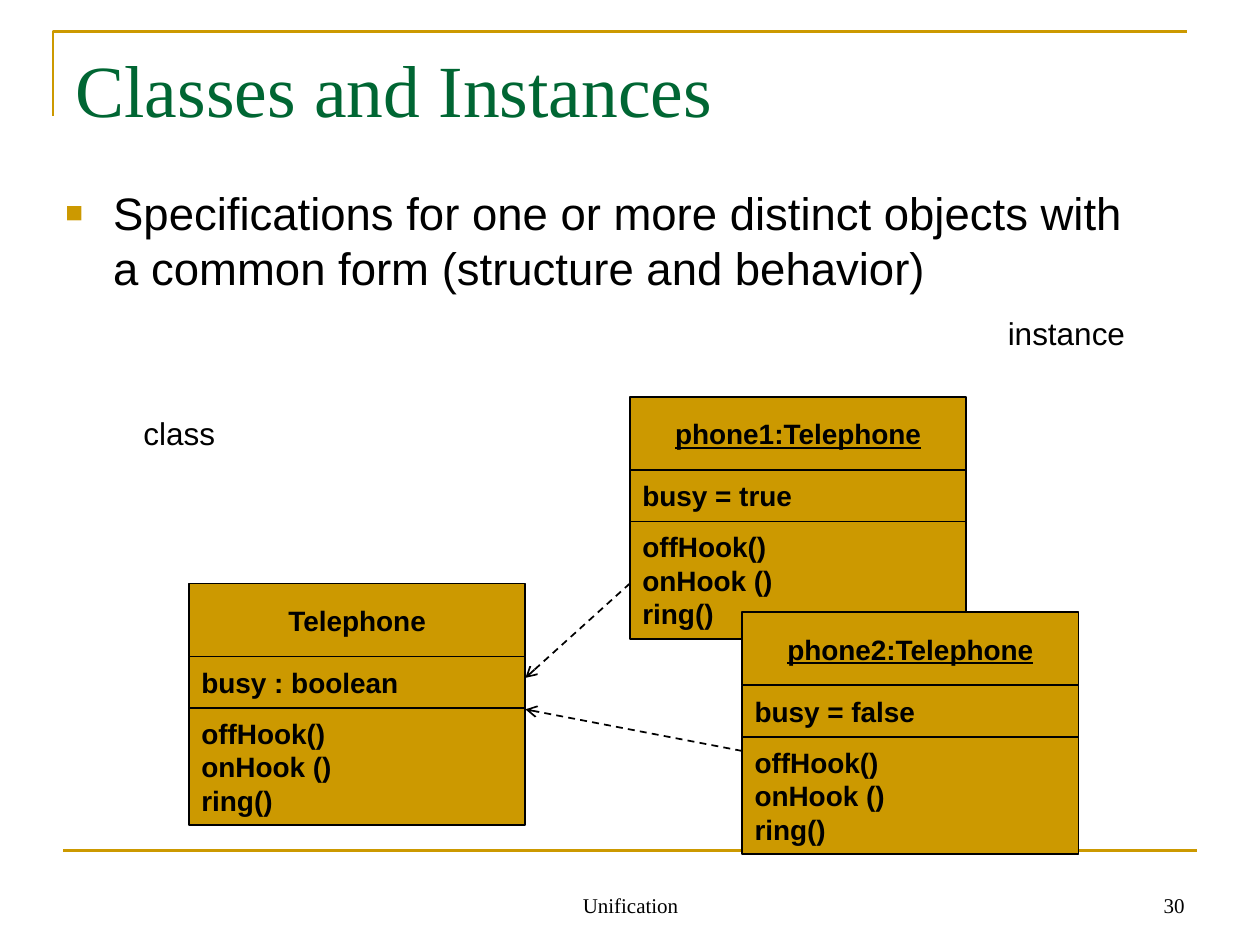
from lxml import etree
from pptx import Presentation
from pptx import util as u
from pptx.dml.color import RGBColor
from pptx.enum import dml, shapes, text
from pptx.oxml.ns import qn

COLORS = {"gold": "CC9900", "green": "006633", "black": "000000"}
SANS, SERIF = "Arial", "Times New Roman"
BOX_WIDTH = 2.67
ROW_HEIGHTS = (0.58, 0.41, 0.93)
METHODS = "offHook()\nonHook ()\nring()"


def color(name):
    return RGBColor.from_string(COLORS[name])


def write(shape, words, size=16, font=SANS, ink="black", bold=False,
          underline=False, align=text.PP_ALIGN.LEFT,
          anchor=text.MSO_ANCHOR.TOP, wrap=True):
    """Fill a shape with text, one paragraph per line."""
    frame = shape.text_frame
    frame.text = words
    frame.word_wrap = wrap
    frame.auto_size = text.MSO_AUTO_SIZE.NONE
    frame.vertical_anchor = anchor
    for para in frame.paragraphs:
        para.alignment = align
        for span in para.runs:
            span.font.name = font
            span.font.size = u.Pt(size)
            span.font.bold = bold
            span.font.underline = underline
            span.font.color.rgb = color(ink)


def add_label(page, words, left, top, width, height, **style):
    box = page.shapes.add_textbox(*map(u.Inches, (left, top, width, height)))
    write(box, words, **style)
    return box


def add_bullet(para):
    """Give a paragraph a gold square bullet with a hanging indent."""
    props = para._p.get_or_add_pPr()
    props.set("marL", str(u.Inches(0.38)))
    props.set("indent", str(-u.Inches(0.38)))
    tint = etree.SubElement(props, qn("a:buClr"))
    etree.SubElement(tint, qn("a:srgbClr"), val=COLORS["gold"])
    etree.SubElement(props, qn("a:buSzPct"), val="65000")
    etree.SubElement(props, qn("a:buFont"), typeface=SANS)
    etree.SubElement(props, qn("a:buChar"), char="■")


def add_line(page, start, end, ink="black", width=1, arrow=False):
    line = page.shapes.add_connector(
        shapes.MSO_CONNECTOR.STRAIGHT, *map(u.Inches, start + end))
    line.line.color.rgb = color(ink)
    line.line.width = u.Pt(width)
    if arrow:
        line.line.dash_style = dml.MSO_LINE.DASH
        etree.SubElement(line.line._get_or_add_ln(), qn("a:tailEnd"), type="arrow")
    etree.SubElement(line._element.spPr, qn("a:effectLst"))


def add_corner_rule(page):
    builder = page.shapes.build_freeform(u.Inches(0.42), u.Inches(0.92))
    corner = [(u.Inches(0.42), u.Inches(0.25)), (u.Inches(9.42), u.Inches(0.25))]
    builder.add_line_segments(corner, close=False)
    rule = builder.convert_to_shape()
    rule.shadow.inherit = False
    rule.fill.background()
    rule.line.color.rgb = color("gold")
    rule.line.width = u.Pt(1.5)


def add_uml_box(page, left, top, name, attribute, instance=False):
    """Stack the name, attribute and method rows of a class or an instance."""
    group = page.shapes.add_group_shape()
    for row, (words, height) in enumerate(zip((name, attribute, METHODS), ROW_HEIGHTS)):
        box = group.shapes.add_shape(
            shapes.MSO_SHAPE.RECTANGLE,
            *map(u.Inches, (left, top, BOX_WIDTH, height)))
        box.shadow.inherit = False
        box.fill.solid()
        box.fill.fore_color.rgb = color("gold")
        box.line.color.rgb = color("black")
        box.line.width = u.Pt(1)
        heading = row == 0
        write(box, words, bold=True, underline=instance and heading,
              align=text.PP_ALIGN.CENTER if heading else text.PP_ALIGN.LEFT,
              anchor=text.MSO_ANCHOR.MIDDLE, wrap=False)
        top += height


def main():
    deck = Presentation()
    deck.slide_width, deck.slide_height = u.Inches(10), u.Inches(7.5)
    page = deck.slides.add_slide(deck.slide_layouts[5])

    # Frame rules and title
    add_corner_rule(page)
    add_line(page, (0.5, 6.75), (9.5, 6.75), ink="gold", width=1.5)
    title = page.shapes.title
    title.left, title.top = u.Inches(0.5), u.Inches(0.3)
    title.width, title.height = u.Inches(9), u.Inches(1.25)
    write(title, "Classes and Instances", size=42, font=SERIF, ink="green")

    # Definition
    body = add_label(
        page, "Specifications for one or more distinct objects with "
        "a common form (structure and behavior)", 0.42, 1.42, 8.75, 1.25, size=26)
    add_bullet(body.text_frame.paragraphs[0])

    # Class diagram
    add_uml_box(page, 1.5, 4.63, "Telephone", "busy : boolean")
    add_line(page, (5, 4.63), (4.17, 5.38), arrow=True)
    add_line(page, (5.89, 5.96), (4.17, 5.63), arrow=True)
    add_uml_box(page, 5, 3.15, "phone1:Telephone", "busy = true", instance=True)
    add_uml_box(page, 5.89, 4.86, "phone2:Telephone", "busy = false", instance=True)
    add_label(page, "instance", 7.9, 2.44, 1.33, 0.7, size=18)
    add_label(page, "class", 1.04, 3.24, 1.7, 0.7, size=18)

    # Footer and page number
    footer = {"size": 12, "font": SERIF, "anchor": text.MSO_ANCHOR.BOTTOM}
    add_label(page, "Unification", 3.42, 6.83, 3.17, 0.5,
              align=text.PP_ALIGN.CENTER, **footer)
    add_label(page, "30", 7.17, 6.83, 2.33, 0.5,
              align=text.PP_ALIGN.RIGHT, **footer)

    deck.save("out.pptx")


if __name__ == "__main__":
    main()
